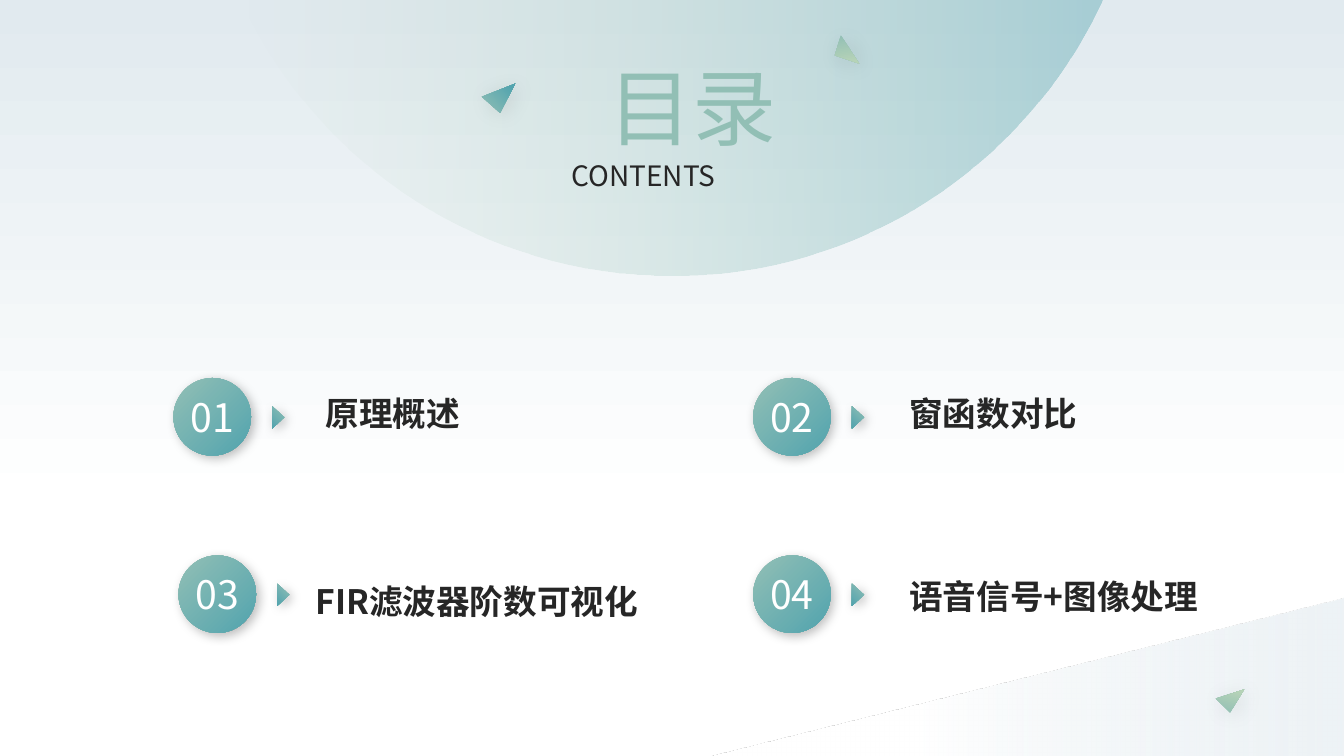
from lxml.etree import SubElement
from pptx import Presentation
from pptx.dml.color import RGBColor
from pptx.enum.shapes import MSO_SHAPE as Preset
from pptx.enum.text import MSO_ANCHOR as Anchor, PP_ALIGN as Align
from pptx.oxml.ns import qn
from pptx.util import Inches, Pt

MIST = RGBColor(0xE1, 0xEA, 0xEF)
WHITE = RGBColor(0xFF, 0xFF, 0xFF)
LEAF = RGBColor(0xB6, 0xD3, 0xB7)
SKY = RGBColor(0x77, 0xB6, 0xBF)
SAGE = RGBColor(0x92, 0xBF, 0xB5)
TEAL = RGBColor(0x52, 0xA4, 0xAE)
INK = RGBColor(0x26, 0x26, 0x26)
FONT = "Noto Sans CJK SC"

WIDTH, HEIGHT = 13.33, 7.5
TOPICS = [
    ("01", "原理概述", 1.72, 3.75, 1.41, 0.1, 1.6),
    ("02", "窗函数对比", 7.47, 3.75, 1.45, 0.1, 1.95),
    ("03", "FIR滤波器阶数可视化", 1.77, 5.51, 1.26, 0.2, 3.4),
    ("04", "语音信号+图像处理", 7.47, 5.51, 1.45, 0.15, 3.15),
]
SHARDS = [
    ([(4.96, 1.12), (4.78, 0.96), (5.11, 0.83)], TEAL, 317),
    ([(8.34, 0.35), (8.52, 0.63), (8.28, 0.55)], LEAF, 80),
    ([(12.2, 7.07), (12.06, 6.93), (12.34, 6.84)], LEAF, 285),
]


def box(*lengths):
    return [Inches(length) for length in lengths]


def paint_gradient(fill, first, last, angle, end=100):
    fill.gradient()
    fill.gradient_angle = (360 - angle) % 360
    for stop, color, position in zip(fill.gradient_stops, (first, last), (0, end)):
        stop.color.rgb = color
        stop.position = position / 100


def finish(shape, first, last, angle, end=100, opacities=()):
    shape.shadow.inherit = False
    shape.line.fill.background()
    paint_gradient(shape.fill, first, last, angle, end)
    for color, opacity in zip(shape.element.iter(qn("a:srgbClr")), opacities):
        SubElement(color, qn("a:alpha"), val=str(opacity * 1000))


def cast_shadow(shape, opacity, blur):
    effects = shape.element.spPr.find(qn("a:effectLst"))
    shadow = SubElement(effects, qn("a:outerShdw"), blurRad=str(Pt(blur)),
                        dist=str(Pt(3)), dir="2700000", algn="tl", rotWithShape="0")
    color = SubElement(shadow, qn("a:srgbClr"), val="000000")
    SubElement(color, qn("a:alpha"), val=str(opacity * 1000))


def write(shape, text, size, color, align=Align.LEFT, bold=False):
    frame = shape.text_frame
    frame.text = text
    frame.word_wrap = True
    paragraph = frame.paragraphs[0]
    paragraph.alignment = align
    run = paragraph.runs[0]
    run.font.size = Pt(size)
    run.font.bold = bold
    run.font.color.rgb = color
    run.font.name = FONT
    SubElement(run._r.get_or_add_rPr(), qn("a:ea"), typeface=FONT)
    return run


def draw_outline(shapes, points):
    corners = [box(*point) for point in points]
    builder = shapes.build_freeform(*corners[0])
    builder.add_line_segments(corners[1:])
    return builder.convert_to_shape()


def draw_backdrop(slide):
    frame = slide.shapes.add_shape(Preset.RECTANGLE, *box(0, 0, WIDTH, HEIGHT))
    frame.shadow.inherit = False
    frame.fill.background()
    frame.line.color.rgb = WHITE
    frame.line.width = Pt(3)
    sky = slide.shapes.add_shape(Preset.RECTANGLE, *box(0, 0, WIDTH, HEIGHT))
    finish(sky, MIST, WHITE, 90, 67)
    corner = slide.shapes.add_shape(Preset.ISOSCELES_TRIANGLE, *box(6.98, 5.93, 6.37, 1.58))
    corner.adjustments[0] = 1
    finish(corner, MIST, WHITE, 180, 67, (57, 100))


def draw_dome(slide, left, top, width, height):
    right, bottom, middle = left + width, top + height, left + width / 2
    edge, shoulder = top + 0.05, bottom - 1.09
    dome = draw_outline(slide.shapes, [
        (left, top), (right, top), (right - 0.02, edge),
        (right - 0.78, shoulder), (middle + 1.87, bottom), (middle, bottom),
        (middle - 1.87, bottom), (left + 0.78, shoulder), (left + 0.02, edge)])
    segments = list(dome.element.iter(qn("a:lnTo")))[2:8]
    for first in (0, 3):
        curve, *rest = segments[first:first + 3]
        curve.tag = qn("a:cubicBezTo")
        for segment in rest:
            curve.append(segment[0])
            segment.getparent().remove(segment)
    finish(dome, LEAF, SKY, 0, opacities=(0, 55))


def draw_heading(slide, left, top):
    title = slide.shapes.title
    title.left, title.top, title.width, title.height = box(left, top, 2.15, 1.11)
    heading = write(title, "目录", 60, SAGE, Align.CENTER)
    paint_gradient(heading.font.fill, SAGE, TEAL, 45)
    title.text_frame.vertical_anchor = Anchor.MIDDLE
    title.element.getparent().append(title.element)
    subtitle = slide.shapes.add_textbox(*box(left - 0.22, top + 1.02, 2.58, 0.54))
    write(subtitle, "CONTENTS", 20, INK, Align.JUSTIFY)


def draw_topic(slide, number, topic, left, top, label_dx, label_dy, label_width):
    label = slide.shapes.add_textbox(
        *box(left + label_dx, top + label_dy, label_width, 0.5))
    write(label, topic, 24, INK, bold=True)
    marker = slide.shapes.add_group_shape().shapes
    badge = marker.add_shape(Preset.OVAL, *box(left, top, 0.77, 0.77))
    pointer = marker.add_shape(
        Preset.ISOSCELES_TRIANGLE, *box(left + 0.93, top + 0.33, 0.22, 0.12))
    pointer.rotation = 90
    for part in (badge, pointer):
        finish(part, SAGE, TEAL, 45)
        cast_shadow(part, 25, 8)
    digits = marker.add_textbox(*box(left + 0.08, top + 0.11, 0.61, 0.55))
    write(digits, number, 28, WHITE, Align.CENTER)
    frame = digits.text_frame
    frame.word_wrap = False
    frame.vertical_anchor = Anchor.MIDDLE
    frame.margin_left = frame.margin_right = Inches(0.07)
    frame.margin_top = frame.margin_bottom = Inches(0.04)


def draw_shard(slide, points, tip, angle):
    shard = draw_outline(slide.shapes, points)
    finish(shard, SAGE, tip, angle, 92)
    cast_shadow(shard, 10, 15)


def main():
    deck = Presentation()
    deck.slide_width, deck.slide_height = box(WIDTH, HEIGHT)
    slide = deck.slides.add_slide(deck.slide_layouts[5])
    draw_backdrop(slide)
    draw_dome(slide, 2.39, 0, 8.54, 2.73)
    draw_heading(slide, 5.79, 0.5)
    for topic in TOPICS:
        draw_topic(slide, *topic)
    for shard in SHARDS:
        draw_shard(slide, *shard)
    deck.save("out.pptx")


if __name__ == "__main__":
    main()
